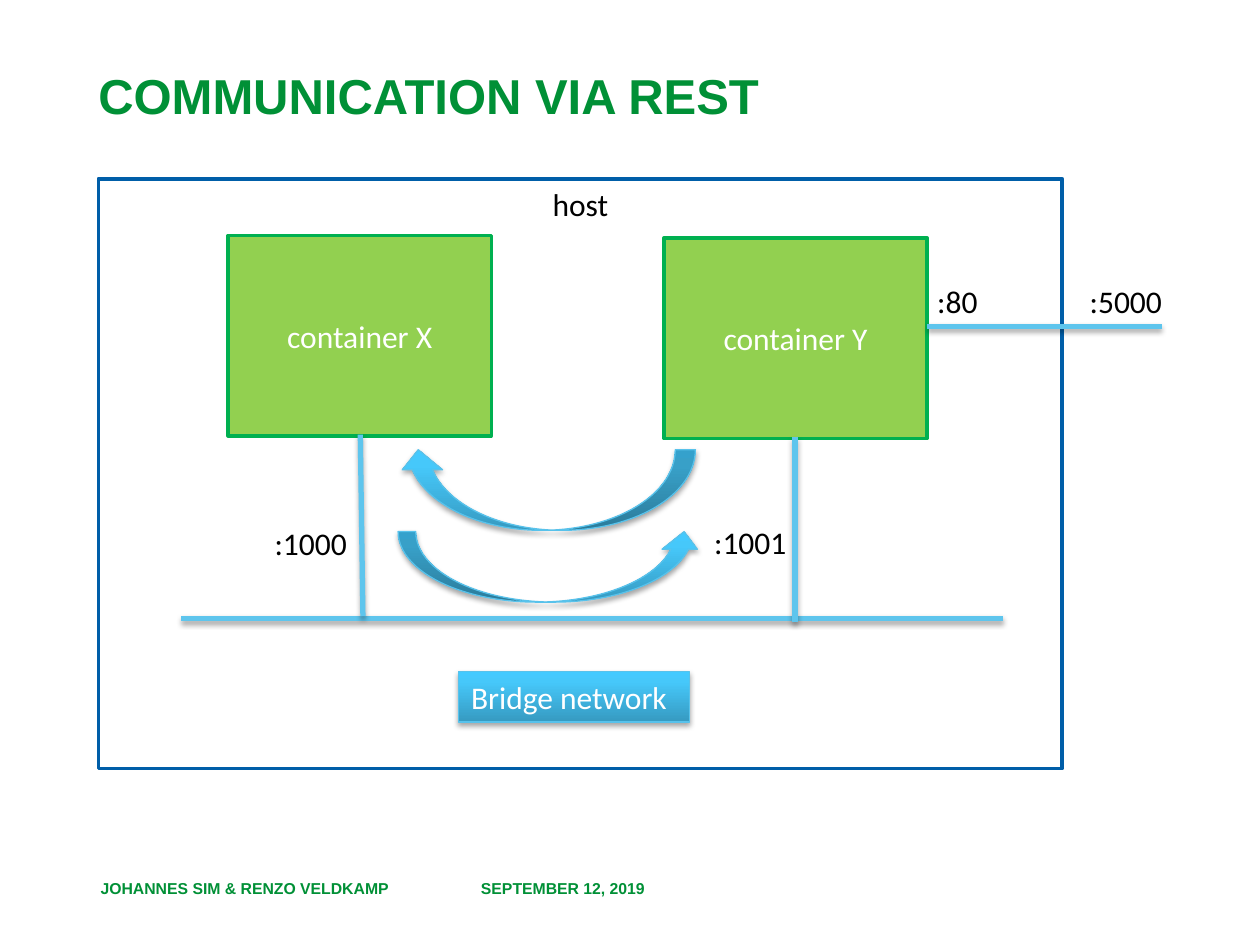
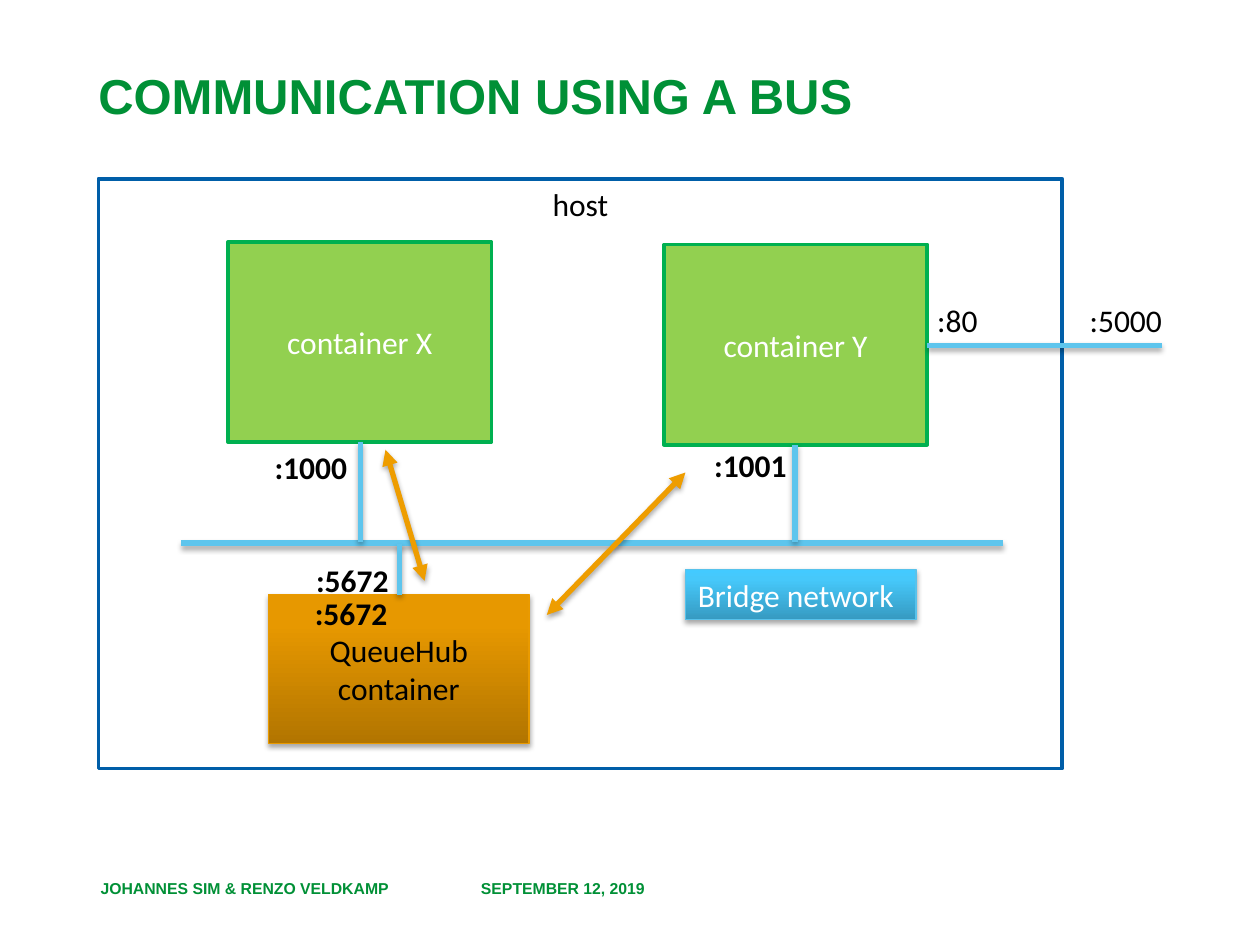
import pptx
import pptx.dml.color
import pptx.enum.shapes
import pptx.enum.text
import pptx.oxml
import pptx.oxml.ns
import pptx.util
from dataclasses import dataclass

Pt = pptx.util.Pt
SHAPE = pptx.enum.shapes.MSO_SHAPE
ALIGN = pptx.enum.text.PP_ALIGN
ANCHOR = pptx.enum.text.MSO_ANCHOR
FIT = pptx.enum.text.MSO_AUTO_SIZE


@dataclass(frozen=True)
class Theme:
    """Colours, fonts and type sizes of the deck."""
    green: str = "009036"
    host_blue: str = "005EA8"
    wire: str = "5EC5ED"
    container: str = "92D050"
    container_edge: str = "00B050"
    message: str = "EE9D00"
    white: str = "FFFFFF"
    black: str = "000000"
    # Gradients run from the bottom edge to the top edge.
    blue_stops: tuple = ((0, "369AC1"), (80, "46C8FA"), (100, "43CAFF"))
    blue_edge: str = "58C2EB"
    orange_stops: tuple = ((0, "B27500"), (80, "E79800"), (100, "E89900"))
    orange_edge: str = "E99A00"
    heading_font: str = "Arial"
    body_font: str = "Calibri"
    title_size: int = 28
    body_size: int = 18
    footer_size: int = 9


theme = Theme()
rgb = pptx.dml.color.RGBColor.from_string
NS = pptx.oxml.ns.nsdecls("a")
qn = pptx.oxml.ns.qn
SHADOW = (f'<a:effectLst {NS}><a:outerShdw blurRad="{Pt(3.1)}" dist="{Pt(1.8)}" dir="5400000" '
          f'rotWithShape="0"><a:srgbClr val="{theme.black}"><a:alpha val="35000"/>'
          '</a:srgbClr></a:outerShdw></a:effectLst>')

HEADING = dict(name=theme.heading_font, size=Pt(theme.title_size), bold=True)
FOOTER = dict(HEADING, size=Pt(theme.footer_size))
BODY = dict(name=theme.body_font, size=Pt(theme.body_size), bold=False)
STRONG = dict(BODY, bold=True)
TOP_BLOCK = dict(word_wrap=True, vertical_anchor=ANCHOR.TOP, auto_size=FIT.NONE)
MIDDLE_BLOCK = dict(TOP_BLOCK, vertical_anchor=ANCHOR.MIDDLE)
TAG = dict(word_wrap=False, vertical_anchor=ANCHOR.TOP, auto_size=FIT.SHAPE_TO_FIT_TEXT)


def write(frame, text, font, colour, block, align=ALIGN.LEFT, **spacing):
    """Put text in a frame, one paragraph a line, with the given formats."""
    frame.text = text
    for name, value in block.items():
        setattr(frame, name, value)
    for paragraph in frame.paragraphs:
        for name, value in dict(spacing, alignment=align).items():
            setattr(paragraph, name, value)
        for run in paragraph.runs:
            for name, value in font.items():
                setattr(run.font, name, value)
            run.font.color.rgb = rgb(colour)


def finish(part, edge, width, fill=None, raised=False):
    """Set outline, flat or graded fill, and shadow of a shape or connector."""
    part.line.color.rgb = rgb(edge)
    part.line.width = Pt(width)
    properties = part._element.spPr
    if isinstance(fill, str):
        part.fill.solid()
        part.fill.fore_color.rgb = rgb(fill)
    elif fill:
        part.fill.gradient()
        part.fill.gradient_angle = 90
        stops = properties.find(".//" + qn("a:gsLst"))
        for stop in list(stops):
            stops.remove(stop)
        for position, colour in fill:
            stops.append(pptx.oxml.parse_xml(
                f'<a:gs {NS} pos="{position * 1000}"><a:srgbClr val="{colour}"/></a:gs>'))
    properties.append(pptx.oxml.parse_xml(SHADOW if raised else f"<a:effectLst {NS}/>"))


scenes = [
    dict(
        title="COMMUNICATION VIA REST",
        containers_top=134.6, bus_y=353.5, outside_y=186.5, network_at=(262.1, 383.8),
        drops=[(205.9, 248.4, 207.4, 352.1), (454.3, 249.8, 454.3, 355.7)],
        port_font=BODY,
        ports=[(":1000", 149.8, 295.9), (":1001", 401, 295.2)],
        calls=[(227.5, 303.8, 173.5, 40.3, False), (227.5, 257, 169.9, 46.1, True)],
        brokers=[], messages=[],
    ),
    dict(
        title="COMMUNICATION USING A BUS",
        containers_top=138.2, bus_y=310.3, outside_y=197.3, network_at=(391.7, 325.4),
        drops=[(205.9, 252.7, 205.9, 309.6), (454.3, 254.2, 454.3, 309.6),
               (228.2, 311, 228.2, 339.8)],
        port_font=STRONG,
        ports=[(":1000", 149.8, 252.7), (":1001", 401, 251.3),
               (":5672", 172.8, 336.2), (":5672", 173.5, 316.8)],
        calls=[],
        brokers=[("QueueHub\ncontainer", 153.4, 339.8, 149, 85)],
        messages=[(391.7, 270, 312.5, 351.4), (220.3, 257, 242.6, 331.9)],
    ),
]
footers = [("SEPTEMBER 12, 2019", 267.8, 167.8),
           ("JOHANNES SIM & RENZO VELDKAMP", 50.4, 207.4)]
TAG_HEIGHT = 28.8

deck = pptx.Presentation()
deck.slide_width, deck.slide_height = Pt(720), Pt(540)

for scene in scenes:
    slide = deck.slides.add_slide(deck.slide_layouts[5])
    shapes = slide.shapes
    slide.background.fill.solid()
    slide.background.fill.fore_color.rgb = rgb(theme.white)

    heading = shapes.title
    for name, value in dict(left=49, top=37.4, width=643, height=64.8).items():
        setattr(heading, name, Pt(value))
    write(heading.text_frame, scene["title"], HEADING, theme.green, TOP_BLOCK,
          line_spacing=Pt(30), space_before=Pt(0))

    for text, left, width in footers:
        footer = shapes.add_textbox(Pt(left), Pt(493.2), Pt(width), Pt(TAG_HEIGHT))
        write(footer.text_frame, text, FOOTER, theme.green, MIDDLE_BLOCK)

    # Host with its two containers
    host = shapes.add_shape(SHAPE.RECTANGLE, Pt(56.2), Pt(102.2), Pt(550.8), Pt(337))
    finish(host, theme.host_blue, 2, theme.white)
    write(host.text_frame, "host", BODY, theme.black, TOP_BLOCK, ALIGN.CENTER)

    for text, left, drop in (("container X", 130.3, 0), ("container Y", 379.4, 1.5)):
        container = shapes.add_shape(SHAPE.RECTANGLE, Pt(left),
                                     Pt(scene["containers_top"] + drop), Pt(150.5), Pt(114.5))
        finish(container, theme.container_edge, 2, theme.container)
        write(container.text_frame, text, BODY, theme.white, MIDDLE_BLOCK, ALIGN.CENTER)

    for text, left, top, width, height in scene["brokers"]:
        broker = shapes.add_shape(SHAPE.RECTANGLE, Pt(left), Pt(top), Pt(width), Pt(height))
        finish(broker, theme.orange_edge, 0.75, theme.orange_stops, raised=True)
        write(broker.text_frame, text, BODY, theme.black, MIDDLE_BLOCK, ALIGN.CENTER)

    network = shapes.add_shape(SHAPE.RECTANGLE, *map(Pt, scene["network_at"]),
                               Pt(131.8), Pt(TAG_HEIGHT))
    finish(network, theme.blue_edge, 0.75, theme.blue_stops, raised=True)
    write(network.text_frame, "Bridge network", BODY, theme.white, TAG)

    # Wires: the bus, the way out of the host, and the drops to the bus
    bus_y, outside_y = scene["bus_y"], scene["outside_y"]
    wires = [(103.7, bus_y, 573.1, bus_y), (529.9, outside_y, 663.8, outside_y)]
    routes = [(ends, theme.wire, False) for ends in wires + scene["drops"]]
    routes += [(ends, theme.message, True) for ends in scene["messages"]]
    for ends, colour, two_way in routes:
        route = shapes.add_connector(pptx.enum.shapes.MSO_CONNECTOR.STRAIGHT, *map(Pt, ends))
        finish(route, colour, 3, raised=True)
        if two_way:
            for end in ("headEnd", "tailEnd"):
                route.line._get_or_add_ln().append(
                    pptx.oxml.parse_xml(f'<a:{end} {NS} type="triangle"/>'))

    # Port numbers
    outside_top = outside_y - TAG_HEIGHT
    ports = [(port, scene["port_font"]) for port in scene["ports"]]
    ports += [((":80", 528.5, outside_top), BODY), ((":5000", 615.6, outside_top), BODY)]
    for (text, left, top), font in ports:
        width = 38.2 if len(text) == 3 else 56.2
        port = shapes.add_textbox(Pt(left), Pt(top), Pt(width), Pt(TAG_HEIGHT))
        write(port.text_frame, text, font, theme.black, TAG)

    for left, top, width, height, reply in scene["calls"]:
        call = shapes.add_shape(SHAPE.CURVED_UP_ARROW, Pt(left), Pt(top), Pt(width), Pt(height))
        finish(call, theme.blue_edge, 0.75, theme.blue_stops, raised=True)
        if reply:
            call._element.spPr.find(qn("a:xfrm")).set("flipH", "1")

deck.save("out.pptx")
